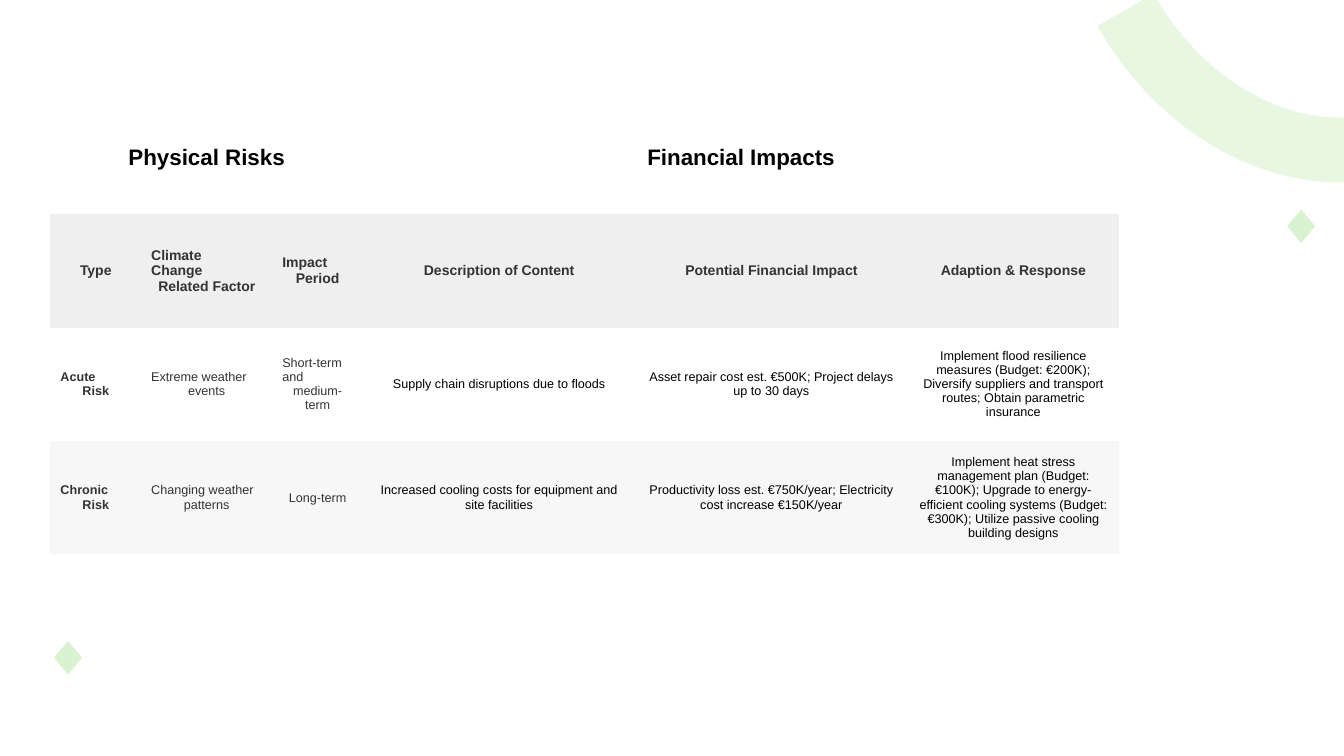
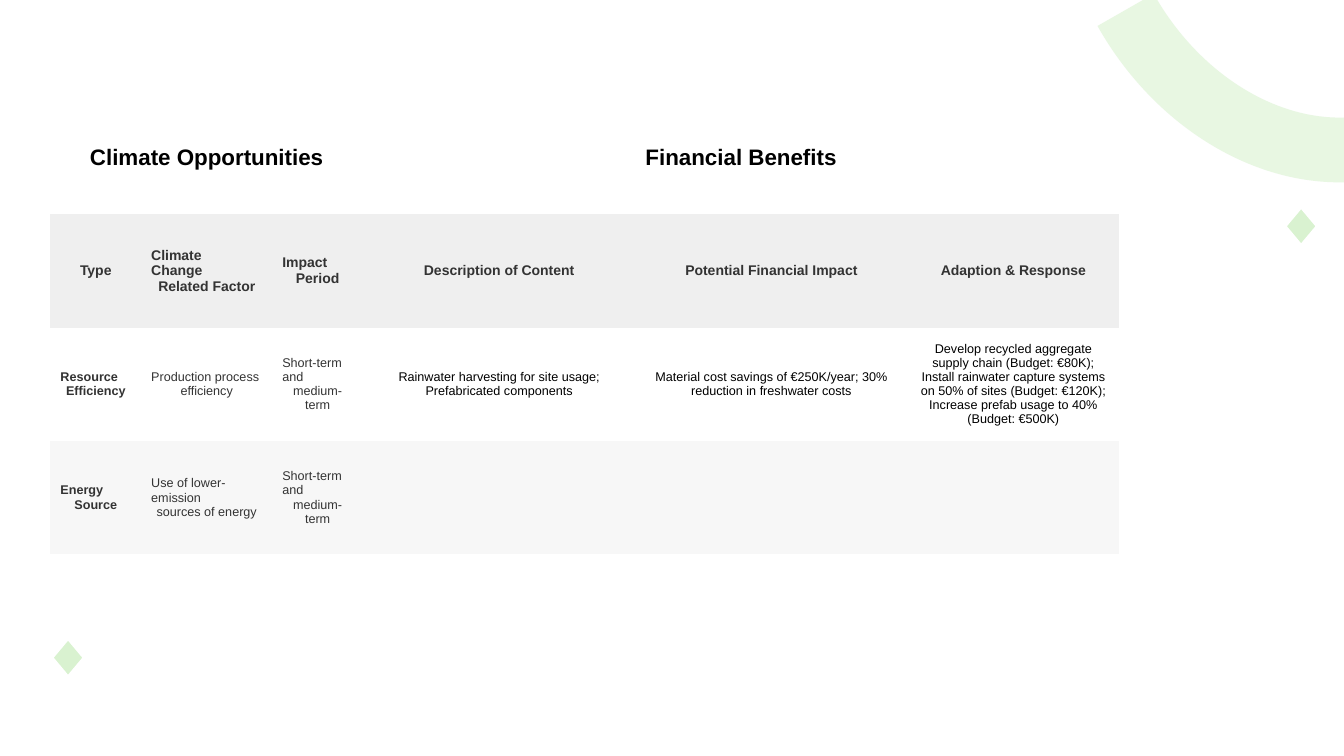
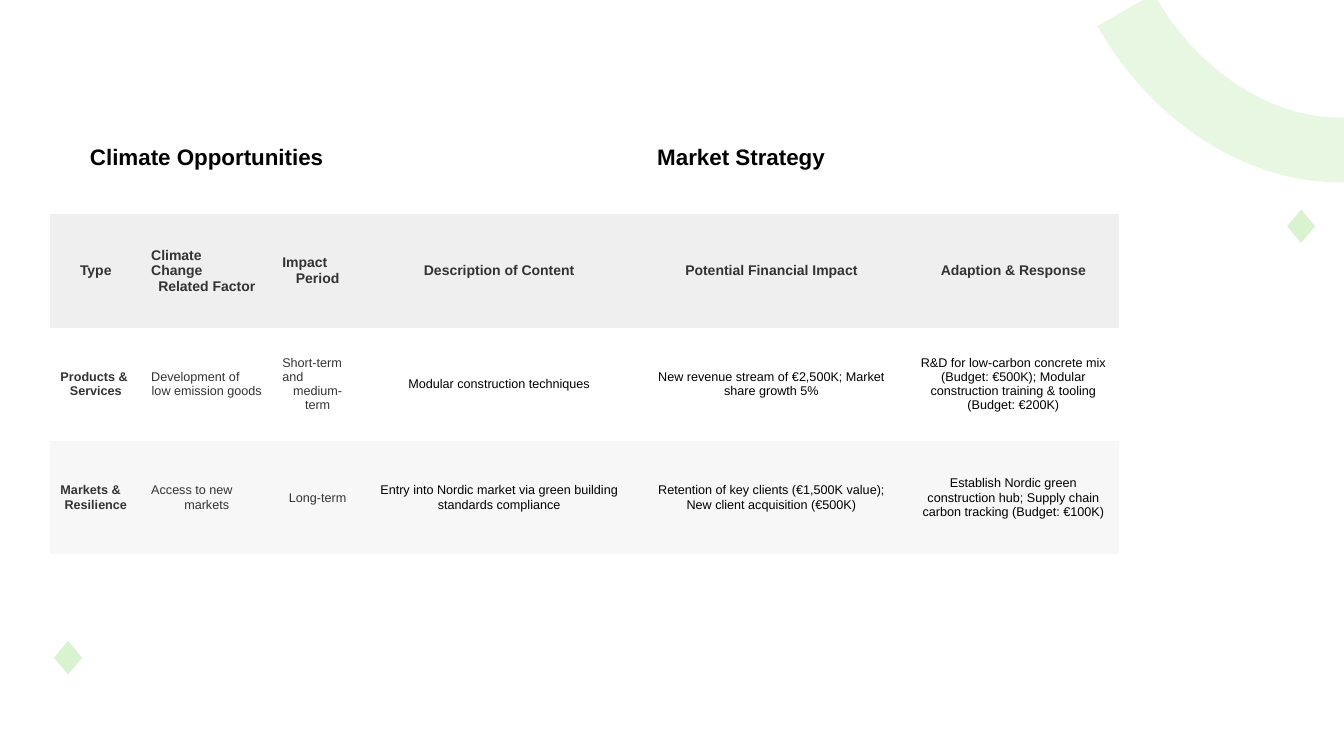
from pptx import Presentation
from pptx.dml.color import RGBColor
from pptx.enum.shapes import MSO_SHAPE
from pptx.enum.text import MSO_ANCHOR, PP_ALIGN
from pptx.oxml.ns import qn
from pptx.util import Pt
from lxml import etree

ARC, DIAMOND = MSO_SHAPE.ARC, MSO_SHAPE.DIAMOND
CENTER, MIDDLE = PP_ALIGN.CENTER, MSO_ANCHOR.MIDDLE

FONT = "Arial"
COLORS = {
    "white": "FFFFFF",
    "black": "000000",
    "gray": "333333",
    "header": "EFEFEF",
    "band": "F7F7F7",
    "green": "D9F2D0",
}
NO_STYLE = "{2D5ABB26-0587-4C30-8999-92F81FD0307C}"

COL_WIDTHS = [90, 130, 90, 270, 270, 210]
TABLE_LEFT, TABLE_TOP, TABLE_HEIGHT = 50, 100, 450
ROW_FILLS = ["white", "header", "white", "band"]
HALF = len(COL_WIDTHS) // 2

HEADERS = ["Type", "Climate\nChange\nRelated Factor", "Impact\nPeriod",
           "Description of Content", "Potential Financial Impact",
           "Adaption & Response"]
SHORT_MEDIUM = "Short-term\nand\nmedium-term"

# Each slide: its two group titles, then its body rows.
SLIDES = [
    (["Physical Risks", "Financial Impacts"], [
        ["Acute\nRisk", "Extreme weather\nevents", SHORT_MEDIUM,
         "Supply chain disruptions due to floods",
         "Asset repair cost est. €500K; Project delays up to 30 days",
         "Implement flood resilience measures (Budget: €200K); Diversify "
         "suppliers and transport routes; Obtain parametric insurance"],
        ["Chronic\nRisk", "Changing weather\npatterns", "Long-term",
         "Increased cooling costs for equipment and site facilities",
         "Productivity loss est. €750K/year; Electricity cost increase "
         "€150K/year",
         "Implement heat stress management plan (Budget: €100K); Upgrade to "
         "energy-efficient cooling systems (Budget: €300K); Utilize passive "
         "cooling building designs"],
    ]),
    (["Climate Opportunities", "Financial Benefits"], [
        ["Resource\nEfficiency", "Production process\nefficiency",
         SHORT_MEDIUM,
         "Rainwater harvesting for site usage; Prefabricated components",
         "Material cost savings of €250K/year; 30% reduction in freshwater "
         "costs",
         "Develop recycled aggregate supply chain (Budget: €80K); Install "
         "rainwater capture systems on 50% of sites (Budget: €120K); "
         "Increase prefab usage to 40% (Budget: €500K)"],
        ["Energy\nSource", "Use of lower-emission\nsources of energy",
         SHORT_MEDIUM, "", "", ""],
    ]),
    (["Climate Opportunities", "Market Strategy"], [
        ["Products &\nServices", "Development of\nlow emission goods",
         SHORT_MEDIUM, "Modular construction techniques",
         "New revenue stream of €2,500K; Market share growth 5%",
         "R&D for low-carbon concrete mix (Budget: €500K); Modular "
         "construction training & tooling (Budget: €200K)"],
        ["Markets &\nResilience", "Access to new\nmarkets", "Long-term",
         "Entry into Nordic market via green building standards compliance",
         "Retention of key clients (€1,500K value); New client acquisition "
         "(€500K)",
         "Establish Nordic green construction hub; Supply chain carbon "
         "tracking (Budget: €100K)"],
    ]),
]


def px(n):
    """Turn px (100 to the inch) into EMU."""
    return n * 9144


def rgb(name):
    return RGBColor.from_string(COLORS[name])


def add_outlined(slide, kind, box, line, width):
    sp = slide.shapes.add_shape(kind, *map(px, box))
    sp.shadow.inherit = False
    sp.line.color.rgb = rgb(line)
    sp.line.width = Pt(width)
    return sp


def add_arc(slide):
    sp = add_outlined(slide, ARC, (1090, -338, 400, 497), "green", 46.25)
    sp.fill.background()
    sp.rotation = 151.3
    sp.adjustments[0], sp.adjustments[1] = 152.05, 215.37
    clr = sp.line._ln.find(".//" + qn("a:srgbClr"))
    etree.SubElement(clr, qn("a:alpha"), val="60000")
    return sp


def add_diamond(slide, left, top):
    sp = add_outlined(slide, DIAMOND, (left, top, 31, 37), "white", 1.5)
    sp.fill.solid()
    sp.fill.fore_color.rgb = rgb("green")
    return sp


def decorate_layout(layout, slide):
    """Draw the shared ornaments on a slide and move them to its layout."""
    for ph in list(layout.placeholders):
        ph.element.getparent().remove(ph.element)
    ornaments = [add_arc(slide), add_diamond(slide, 1275, 206),
                 add_diamond(slide, 52, 634)]
    for sp in ornaments:
        layout.shapes.element.append(sp.element)


def write_cell(cell, text, size=9, color="black", bold=False):
    cell.vertical_anchor = MIDDLE
    if not text:
        return
    p = cell.text_frame.paragraphs[0]
    p.alignment = CENTER
    r = p.add_run()
    r.text = text
    r.font.name = FONT
    r.font.size = Pt(size)
    r.font.bold = bold
    r.font.color.rgb = rgb(color)


def add_plain_table(slide):
    """Add the empty table with its column widths and row fills."""
    table = slide.shapes.add_table(
        len(ROW_FILLS), len(COL_WIDTHS), px(TABLE_LEFT), px(TABLE_TOP),
        px(sum(COL_WIDTHS)), px(TABLE_HEIGHT)).table
    table.first_row = table.horz_banding = False
    table._tbl.tblPr.find(qn("a:tableStyleId")).text = NO_STYLE
    for col, width in zip(table.columns, COL_WIDTHS):
        col.width = px(width)
    for row, fill in zip(table.rows, ROW_FILLS):
        row.height = px(TABLE_HEIGHT) // len(ROW_FILLS)
        for cell in row.cells:
            cell.fill.solid()
            cell.fill.fore_color.rgb = rgb(fill)
    return table


def add_climate_table(slide, titles, body):
    table = add_plain_table(slide)
    for i, title in enumerate(titles):
        first = table.cell(0, i * HALF)
        first.merge(table.cell(0, (i + 1) * HALF - 1))
        write_cell(first, title, size=16, bold=True)
    for c, header in enumerate(HEADERS):
        write_cell(table.cell(1, c), header, size=10, color="gray", bold=True)
    for r, texts in enumerate(body, start=2):
        for c, text in enumerate(texts):
            write_cell(table.cell(r, c), text, bold=c == 0,
                       color="gray" if c < HALF else "black")


def main():
    prs = Presentation()
    prs.slide_width, prs.slide_height = px(1333), px(750)
    layout = prs.slide_layouts[6]
    slides = [prs.slides.add_slide(layout) for _ in SLIDES]
    decorate_layout(layout, slides[0])
    for slide, (titles, body) in zip(slides, SLIDES):
        add_climate_table(slide, titles, body)
    prs.save("out.pptx")


if __name__ == "__main__":
    main()
